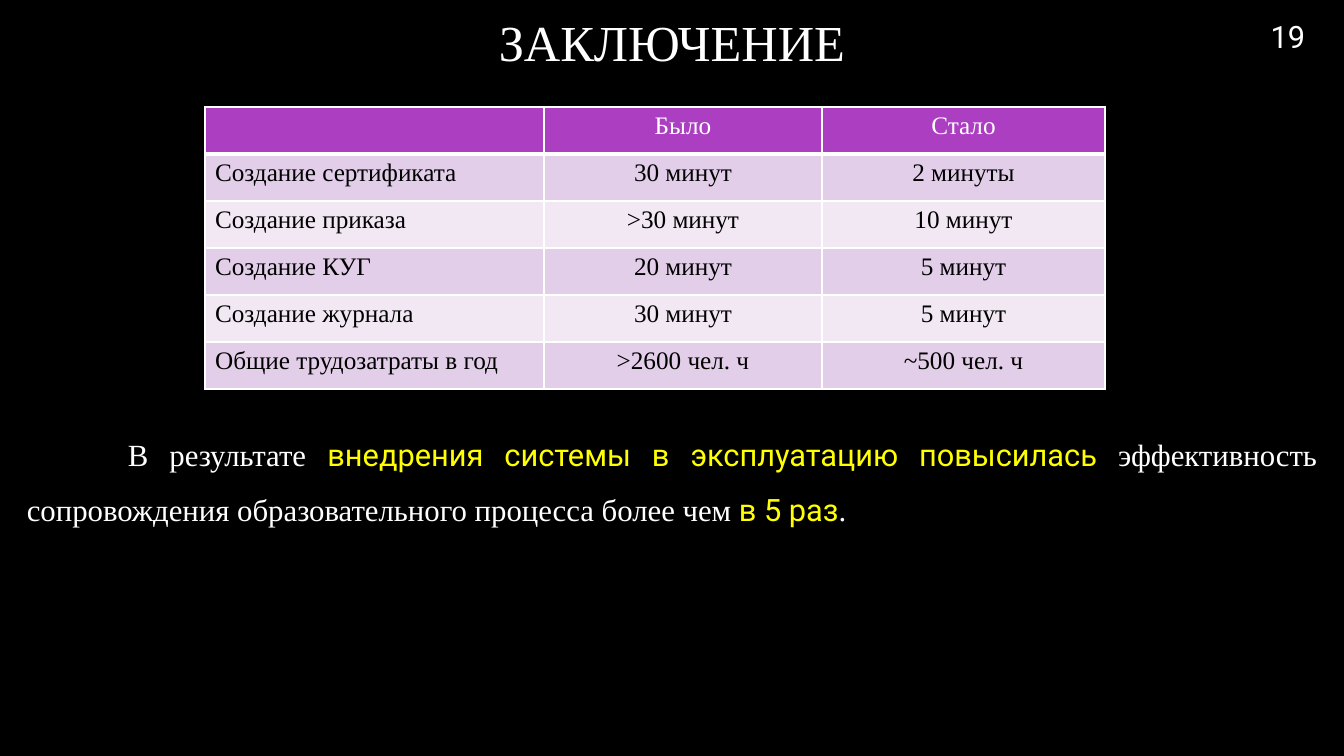
from lxml import etree
from pptx import Presentation
from pptx.dml.color import RGBColor
from pptx.enum.text import MSO_ANCHOR, MSO_AUTO_SIZE, PP_ALIGN
from pptx.oxml.ns import qn
from pptx.util import Emu, Pt

LEFT, CENTER, JUSTIFY = PP_ALIGN.LEFT, PP_ALIGN.CENTER, PP_ALIGN.JUSTIFY
MIDDLE, TOP = MSO_ANCHOR.MIDDLE, MSO_ANCHOR.TOP
NO_AUTOFIT = MSO_AUTO_SIZE.NONE

BLACK = RGBColor(0x00, 0x00, 0x00)
WHITE = RGBColor(0xFF, 0xFF, 0xFF)
YELLOW = RGBColor(0xFF, 0xFF, 0x00)
PURPLE = RGBColor(0xAC, 0x3E, 0xC1)
BANDS = RGBColor(0xE3, 0xCE, 0xE9), RGBColor(0xF1, 0xE8, 0xF4)

SERIF, SANS = "Times New Roman", "Roboto"
TITLE_ONLY = 5


def px(n):
    return Emu(round(n * 914400 / 100.8))


def set_font(font, name, color, size=None):
    font.name = name
    font.color.rgb = color
    if size:
        font.size = Pt(size)


class SlideBuilder:
    def __init__(self, prs):
        self.s = prs.slides.add_slide(prs.slide_layouts[TITLE_ONLY])
        fill = self.s.background.fill
        fill.solid()
        fill.fore_color.rgb = BLACK

    def frame(self, sp, anchor, align):
        tf = sp.text_frame
        tf.word_wrap = True
        tf.auto_size = NO_AUTOFIT
        tf.vertical_anchor = anchor
        p = tf.paragraphs[0]
        p.alignment = align
        return p

    def title(self, text, x, y, w, h):
        sp = self.s.shapes.title
        sp.left, sp.top, sp.width, sp.height = map(px, (x, y, w, h))
        p = self.frame(sp, MIDDLE, CENTER)
        p.text = text
        set_font(p.font, SERIF, WHITE, 36)

    def text(self, x, y, w, h, anchor, align):
        sp = self.s.shapes.add_textbox(*map(px, (x, y, w, h)))
        return self.frame(sp, anchor, align)

    def label(self, text, x, y, w, h):
        p = self.text(x, y, w, h, MIDDLE, CENTER)
        p.text = text
        set_font(p.font, SANS, WHITE, 22)

    def paragraph(self, parts, x, y, w, h, indent):
        p = self.text(x, y, w, h, TOP, JUSTIFY)
        p.line_spacing = 1.5
        p.space_after = Pt(10)
        p.font.size = Pt(22)
        p._p.get_or_add_pPr().set("indent", str(px(indent)))
        for text, accent in parts:
            r = p.add_run()
            r.text = text
            set_font(r.font, *((SANS, YELLOW) if accent else (SERIF, WHITE)), 22)

    def border(self, cell, side, width):
        ln = etree.SubElement(cell._tc.get_or_add_tcPr(), qn(f"a:ln{side}"), w=str(Pt(width)))
        fill = etree.SubElement(ln, qn("a:solidFill"))
        etree.SubElement(fill, qn("a:srgbClr"), val=str(WHITE))

    def table(self, rows, x, y, widths, row_h):
        table = self.s.shapes.add_table(
            len(rows), len(widths), px(x), px(y), px(sum(widths)), px(row_h * len(rows))).table
        for column, width in zip(table.columns, widths):
            column.width = px(width)
        for i, values in enumerate(rows):
            table.rows[i].height = px(row_h)
            for j, value in enumerate(values):
                cell = table.cell(i, j)
                # The header is set off by a thicker rule
                for side in "LRTB":
                    thick = (i, side) in ((0, "B"), (1, "T"))
                    self.border(cell, side, 3 if thick else 1)
                cell.fill.solid()
                cell.fill.fore_color.rgb = BANDS[(i - 1) % 2] if i else PURPLE
                p = cell.text_frame.paragraphs[0]
                p.text = value
                p.alignment = CENTER if j else LEFT
                set_font(p.font, SERIF, BLACK if i else WHITE, 18)
                p.font.bold = False


ROWS = [
    ("", "Было", "Стало"),
    ("Создание сертификата", "30 минут", "2 минуты"),
    ("Создание приказа", ">30 минут", "10 минут"),
    ("Создание КУГ", "20 минут", "5 минут"),
    ("Создание журнала", "30 минут", "5 минут"),
    ("Общие трудозатраты в год", ">2600 чел. ч", "~500 чел. ч"),
]
# Text and whether it is highlighted
SUMMARY = [
    ("В результате ", False),
    ("внедрения системы в эксплуатацию повысилась ", True),
    ("эффективность сопровождения образовательного процесса более чем", False),
    (" в 5 раз", True),
    (".", False),
]


def main():
    prs = Presentation()
    prs.slide_width, prs.slide_height = px(1344), px(756)
    slide = SlideBuilder(prs)

    # Heading and page number
    slide.title("ЗАКЛЮЧЕНИЕ", 0, 0, 1344, 83)
    slide.label("19", 1232, 0, 112, 73)

    # Before and after comparison
    slide.table(ROWS, 205, 107, (339, 278, 283), 47)

    # Conclusion
    slide.paragraph(SUMMARY, 17, 412, 1310, 114, indent=101)

    prs.save("out.pptx")


if __name__ == "__main__":
    main()
